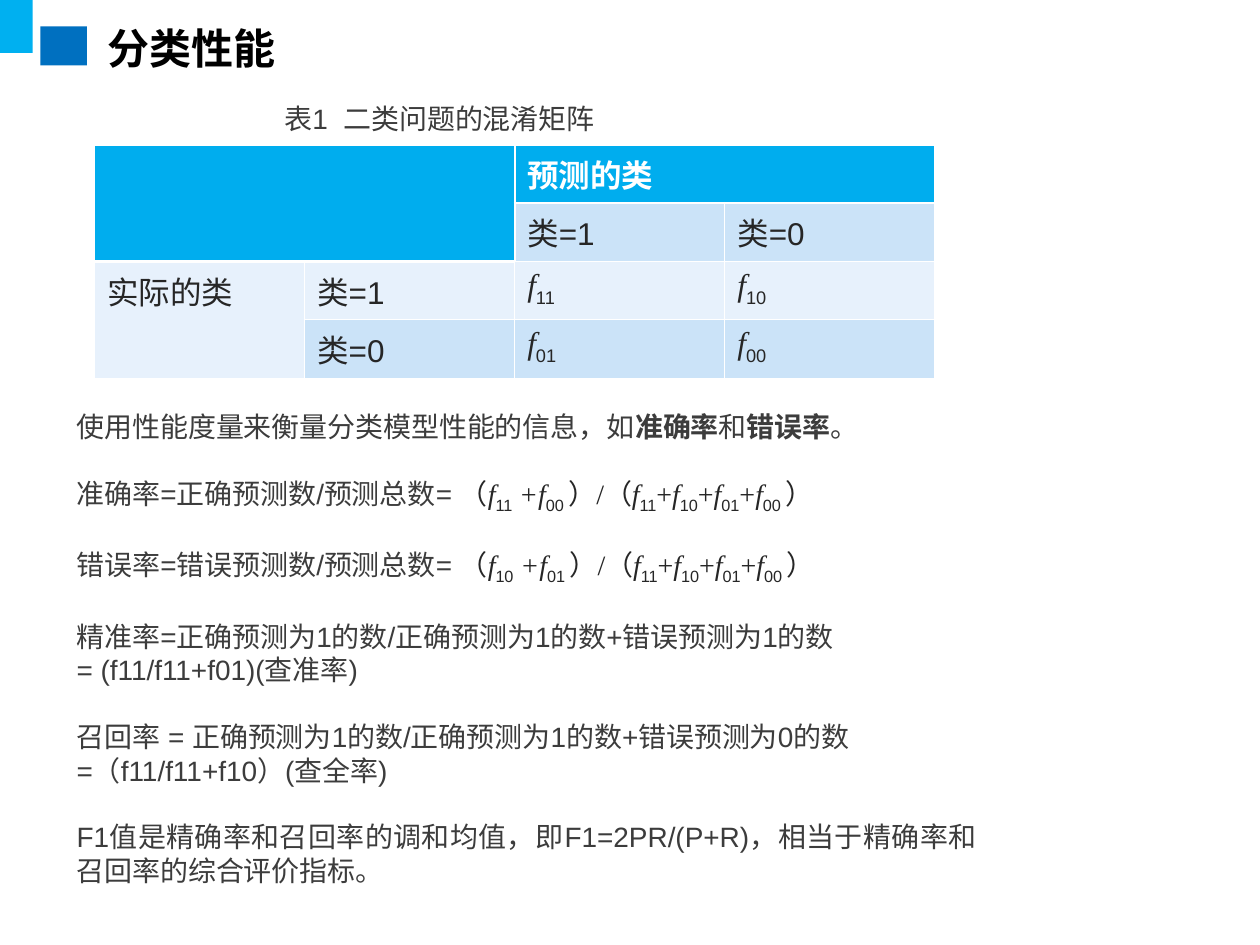
from lxml import etree
from pptx import Presentation
from pptx import util as u
from pptx.dml.color import RGBColor
from pptx.enum import shapes, text
from pptx.oxml.ns import qn

COLORS = {
    "cyan": "00B0F0", "blue": "0070C0", "header": "00ADEE",
    "band_dark": "CBE3F8", "band_light": "E7F1FC", "white": "FFFFFF",
    "black": "000000", "body": "3C3C3C", "dark": "262626",
}
LATIN, CJK, SERIF = "Arial", "Noto Sans CJK SC", "Times New Roman"
BLANK_LINE = u.Pt(19)
TOTAL = ("11", "10", "01", "00")


def rgb(name):
    return RGBColor.from_string(COLORS[name])


def set_font(font, size, color, name=LATIN, ea=LATIN, bold=False):
    font.size, font.bold, font.name = u.Pt(size), bold, name
    font.color.rgb = rgb(color)
    etree.SubElement(font._element, qn("a:ea"), typeface=ea)


def add_runs(p, runs):
    """Runs are (text, style) pairs; the style holds only the differences."""
    for content, style in runs:
        r = p.add_run()
        r.text = content
        if style == "bold":
            r.font.bold = True
        elif style in ("serif", "italic"):
            r.font.name = SERIF
            r.font.color.rgb = rgb("dark")
            r.font.italic = style == "italic"
        elif style == "sub":
            r.font.color.rgb = rgb("dark")
            r.font._element.set("baseline", "-25000")


def count(index):
    return [("f", "italic"), (index, "sub")]


def ratio(label, first, second):
    """Runs of a rate: two counts over the sum of all counts."""
    runs = [(label, ""), ("（", "serif"), *count(first),
            (" +f", "italic"), (second + " ", "sub"), ("）/（", "serif")]
    for i, index in enumerate(TOTAL):
        if i:
            runs.append(("+", "serif"))
        runs += count(index + " " if index == TOTAL[-1] else index)
    return runs + [("）", "serif")]


def add_block(s, x, y, w, h, color):
    sp = s.shapes.add_shape(shapes.MSO_SHAPE.RECTANGLE, u.Inches(x),
                            u.Inches(y), u.Inches(w), u.Inches(h))
    sp.shadow.inherit = False
    sp.fill.solid()
    sp.fill.fore_color.rgb = rgb(color)
    sp.line.fill.background()


def add_title(s, content):
    sp = s.shapes.title
    sp.left, sp.top = u.Inches(0.75), u.Inches(0.1)
    sp.width, sp.height = u.Inches(6.53), u.Inches(0.55)
    tf = sp.text_frame
    tf.vertical_anchor = text.MSO_ANCHOR.MIDDLE
    p = tf.paragraphs[0]
    p.alignment = text.PP_ALIGN.LEFT
    add_runs(p, [(content, "")])
    set_font(p.font, 24, "black", CJK, CJK, bold=True)


def add_text(s, x, y, w, h, paragraphs):
    """Paragraphs are (gap before, runs) pairs."""
    tf = s.shapes.add_textbox(u.Inches(x), u.Inches(y),
                              u.Inches(w), u.Inches(h)).text_frame
    tf.word_wrap = True
    tf.auto_size = text.MSO_AUTO_SIZE.SHAPE_TO_FIT_TEXT
    for i, (gap, runs) in enumerate(paragraphs):
        p = tf.add_paragraph() if i else tf.paragraphs[0]
        p.alignment = text.PP_ALIGN.JUSTIFY
        if gap:
            p.space_before = BLANK_LINE
        set_font(p.font, 16, "body")
        add_runs(p, runs)


def set_borders(cell, thick=""):
    tcPr = cell._tc.get_or_add_tcPr()
    for i, side in enumerate("LRTB"):
        width = u.Pt(1.47 if side in thick else 0.45)
        ln = etree.Element(qn(f"a:ln{side}"), w=str(int(width)))
        fill = etree.SubElement(ln, qn("a:solidFill"))
        etree.SubElement(fill, qn("a:srgbClr"), val=COLORS["white"])
        tcPr.insert(i, ln)


def add_matrix(s):
    rows = [
        [[], [], [("预测的类", "")], []],
        [[], [], [("类=1", "")], [("类=0", "")]],
        [[("实际的类", "")], [("类=1", "")], count("11"), count("10")],
        [[], [("类=0", "")], count("01"), count("00")],
    ]
    fills = ["header", "band_dark", "band_light", "band_dark"]
    heights = [0.4, 0.4, 0.44, 0.44]
    thick = {(0, 0): "RB", (0, 1): "R", (0, 2): "LB", (0, 3): "B",
             (1, 0): "B", (1, 1): "RB", (1, 2): "LT", (1, 3): "T",
             (2, 0): "T", (2, 1): "T"}
    table = s.shapes.add_table(4, 4, u.Inches(0.75), u.Inches(1.15),
                               u.Inches(6.67), u.Inches(1.68)).table
    for col in table.columns:
        col.width = u.Inches(6.67 / 4)
    for i, row in enumerate(rows):
        table.rows[i].height = u.Inches(heights[i])
        for j, runs in enumerate(row):
            cell = table.cell(i, j)
            cell.fill.solid()
            cell.fill.fore_color.rgb = rgb(fills[i])
            set_borders(cell, thick.get((i, j), ""))
            p = cell.text_frame.paragraphs[0]
            set_font(p.font, 18, "dark" if i else "white", ea=CJK, bold=not i)
            add_runs(p, runs)
    # Merged header and row label cells
    for first, last in [((0, 0), (1, 1)), ((0, 2), (0, 3)), ((2, 0), (3, 0))]:
        table.cell(*first).merge(table.cell(*last))


def main():
    prs = Presentation()
    prs.slide_width, prs.slide_height = u.Inches(10), u.Inches(7.5)
    s = prs.slides.add_slide(prs.slide_layouts[5])

    # Corner blocks and title
    add_block(s, -0.01, 0, 0.27, 0.42, "cyan")
    add_block(s, 0.32, 0.21, 0.37, 0.31, "blue")
    add_title(s, "分类性能")

    # Confusion matrix
    add_matrix(s)

    # Measures
    add_text(s, 0.51, 3.2, 7.34, 5.46, [
        (False, [("使用性能度量来衡量分类模型性能的信息，如", ""),
                 ("准确率", "bold"), ("和", ""), ("错误率", "bold"), ("。", "")]),
        (True, ratio("准确率=正确预测数/预测总数= ", "11", "00")),
        (True, ratio("错误率=错误预测数/预测总数= ", "10", "01")),
        (True, [("精准率=正确预测为1的数/正确预测为1的数+错误预测为1的数", "")]),
        (False, [("= (f11/f11+f01)(查准率)", "")]),
        (True, [("召回率 = 正确预测为1的数/正确预测为1的数+错误预测为0的数", "")]),
        (False, [("=（f11/f11+f10）(查全率)", "")]),
        (True, [("F1值是精确率和召回率的调和均值，即F1=2PR/(P+R)，"
                 "相当于精确率和召回率的综合评价指标。", "")]),
    ])

    # Table caption
    add_text(s, 2.16, 0.76, 3.39, 0.37,
             [(False, [("表1  二类问题的混淆矩阵", "")])])
    prs.save("out.pptx")


if __name__ == "__main__":
    main()
